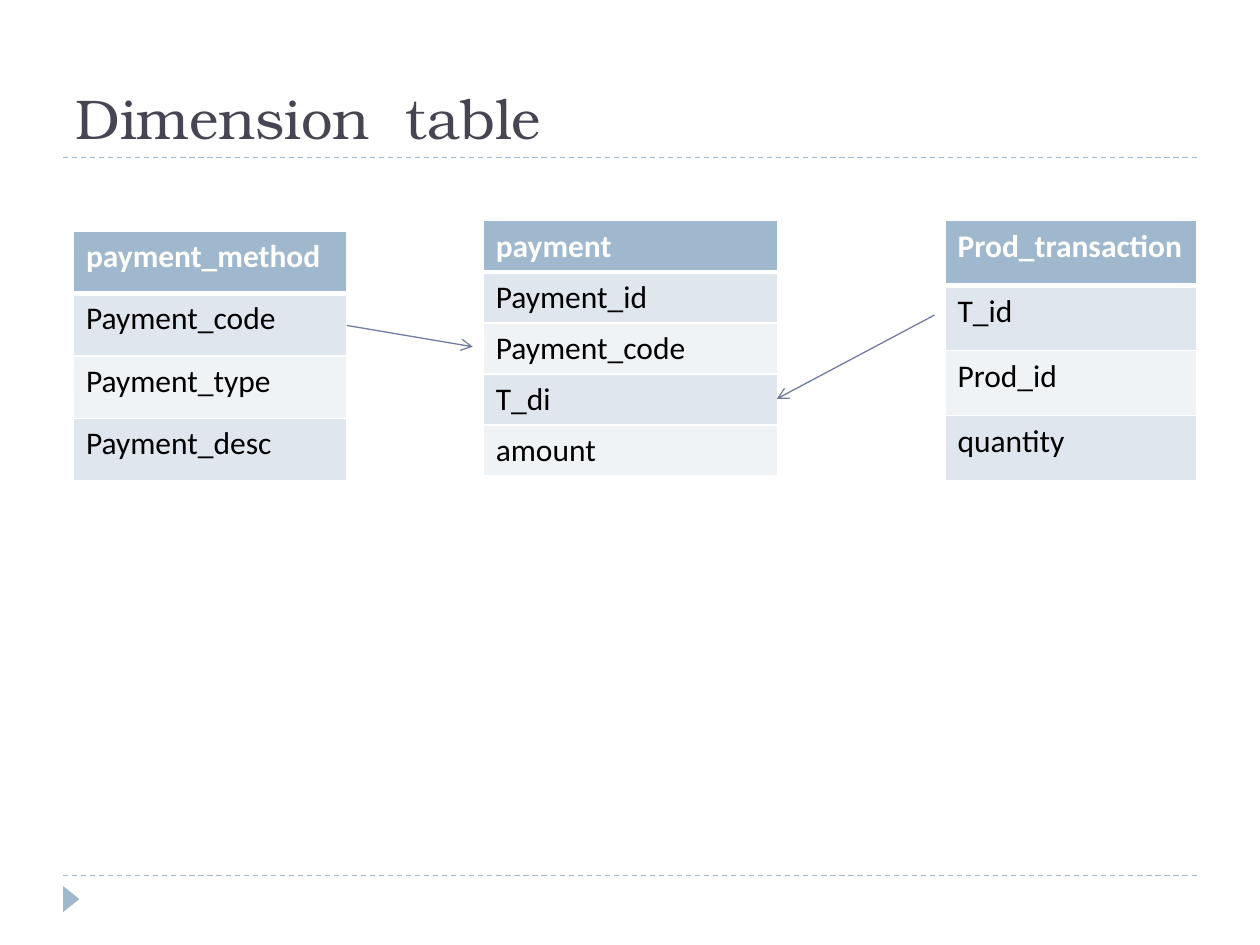
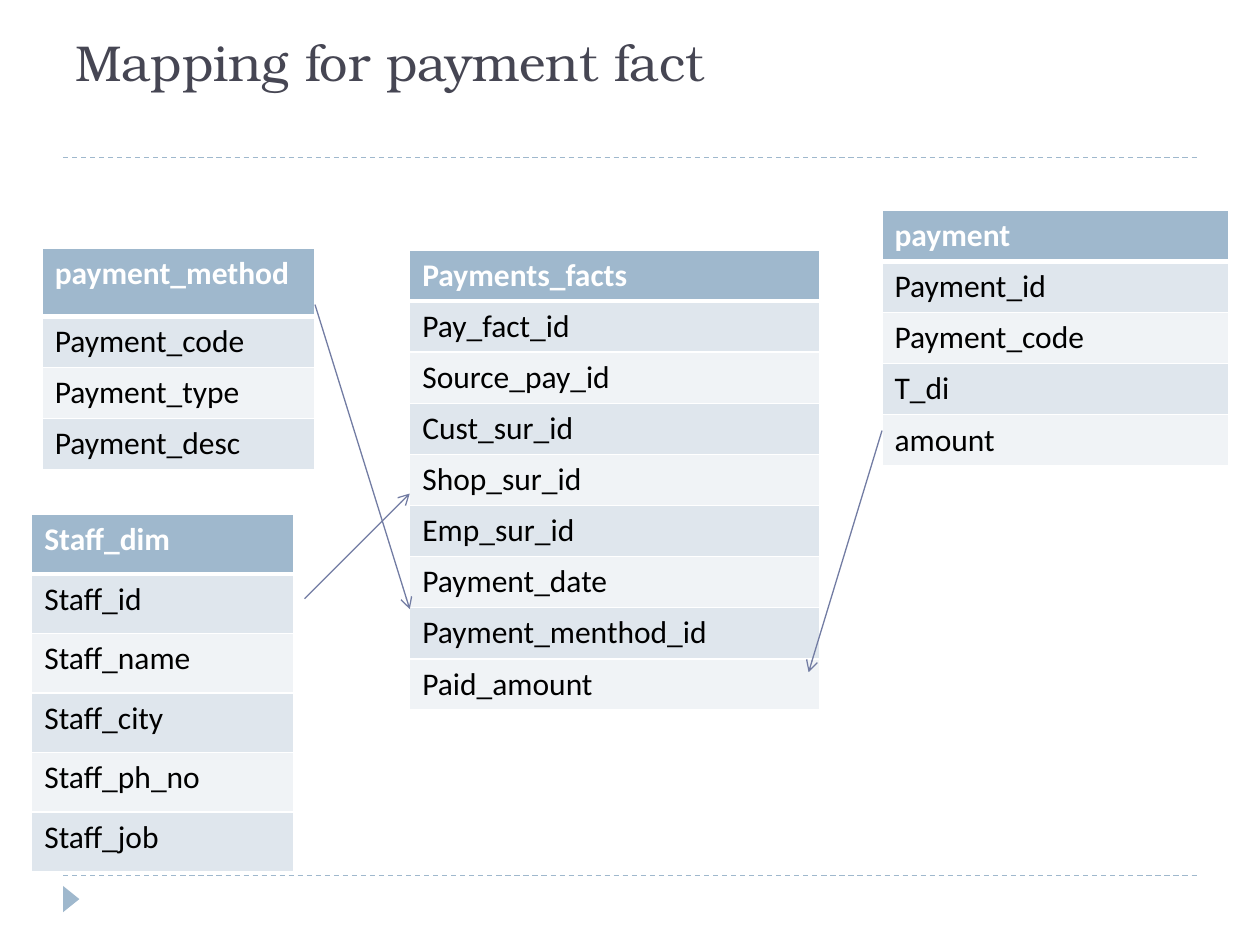
from lxml import etree
from pptx import Presentation
from pptx.dml.color import RGBColor
from pptx.enum.dml import MSO_LINE_DASH_STYLE as Dash
from pptx.enum.shapes import MSO_CONNECTOR as Connector, MSO_SHAPE as Shape
from pptx.enum.text import MSO_ANCHOR as Anchor
from pptx.oxml.ns import qn
from pptx.util import Cm, Pt

COLORS = {
    "title": "464653",
    "accent": "9FB8CD",
    "arrow": "727CA3",
    "odd_row": "DFE6ED",
    "even_row": "F0F3F6",
    "white": "FFFFFF",
    "black": "000000",
}
HEADER_FONT = {"name": "Calibri", "size": Pt(18), "bold": True}
BODY_FONT = {**HEADER_FONT, "bold": False}
ROW = 1.03  # usual row height, cm

# Fields of the tables that appear on both slides, header first
PAYMENT = ["payment", "Payment_id", "Payment_code", "T_di", "amount"]
PAYMENT_METHOD = ["payment_method", "Payment_code", "Payment_type", "Payment_desc"]


def rgb(name):
    return RGBColor.from_string(COLORS[name])


class Deck:
    """Holds the style and the current slide; all lengths are in cm."""

    def __init__(self):
        self.presentation = Presentation()
        self.presentation.slide_width = Cm(25.4)
        self.presentation.slide_height = Cm(19.05)
        self.slide = None

    def add_slide(self, title, size, bottom_inset=0.13):
        self.slide = self.presentation.slides.add_slide(
            self.presentation.slide_layouts[6])
        # Dashed rules under the title and above the footer
        for y in (17.65, 3.18):
            self.line((1.27, y), (24.13, y), "accent").line.dash_style = Dash.DASH
        self.footer_marker()
        self.title(title, size, bottom_inset)

    def footer_marker(self):
        shape = self.slide.shapes.add_shape(
            Shape.ISOSCELES_TRIANGLE, Cm(1.17), Cm(17.96), Cm(0.53), Cm(0.33))
        shape.rotation = 90
        shape.shadow.inherit = False
        shape.fill.solid()
        shape.fill.fore_color.rgb = rgb("accent")
        shape.line.fill.background()

    def title(self, text, size, bottom_inset):
        shape = self.slide.shapes.add_textbox(
            Cm(1.27), Cm(0.42), Cm(22.86), Cm(2.75))
        frame = shape.text_frame
        frame.word_wrap = True
        frame.vertical_anchor = Anchor.BOTTOM
        frame.margin_bottom = Cm(bottom_inset)
        self.add_text(frame, text, {"name": "TeX Gyre Bonum", "size": Pt(size)}, "title")

    def add_text(self, frame, text, font_format, color):
        run = frame.paragraphs[0].add_run()
        run.text = text
        for attribute, value in font_format.items():
            setattr(run.font, attribute, value)
        run.font.color.rgb = rgb(color)

    def line(self, start, end, color):
        connector = self.slide.shapes.add_connector(
            Connector.STRAIGHT, *(Cm(value) for value in (*start, *end)))
        connector.line.color.rgb = rgb(color)
        connector.line.width = Pt(0.75)
        etree.SubElement(connector._element.spPr, qn("a:effectLst"))
        return connector

    def arrow(self, start, end):
        connector = self.line(start, end, "arrow")
        outline = connector._element.spPr.find(qn("a:ln"))
        etree.SubElement(outline, qn("a:tailEnd"), type="arrow")

    def borders(self, cell, top, bottom):
        properties = cell._tc.get_or_add_tcPr()
        for side, width in zip("LRTB", (1, 1, top, bottom)):
            border = etree.SubElement(properties, qn(f"a:ln{side}"), w=str(Pt(width)))
            fill = etree.SubElement(border, qn("a:solidFill"))
            etree.SubElement(fill, qn("a:srgbClr"), val=COLORS["white"])

    def table(self, fields, left, top, width, row=ROW, header=None):
        heights = [header or row] + [row] * (len(fields) - 1)
        table = self.slide.shapes.add_table(
            len(fields), 1, Cm(left), Cm(top), Cm(width), Cm(sum(heights))).table
        table.horz_banding = False
        for index, (field, height) in enumerate(zip(fields, heights)):
            table.rows[index].height = Cm(height)
            cell = table.cell(index, 0)
            # A thick rule parts the header from the fields
            self.borders(cell, 3 if index == 1 else 1, 3 if index == 0 else 1)
            if index == 0:
                fill, color, font_format = "accent", "white", HEADER_FONT
            else:
                fill = "odd_row" if index % 2 else "even_row"
                color, font_format = "black", BODY_FONT
            cell.fill.solid()
            cell.fill.fore_color.rgb = rgb(fill)
            self.add_text(cell.text_frame, field, font_format, color)


deck = Deck()

# Slide 1: dimension tables
deck.add_slide("Dimension  table", 32)
deck.table(PAYMENT, 9.74, 4.45, 5.93)
deck.table(PAYMENT_METHOD, 1.48, 4.66, 5.5, row=1.26)
deck.table(["Prod_transaction", "T_id", "Prod_id", "quantity"],
           19.05, 4.45, 5.08, row=1.31)
deck.arrow((6.99, 6.56), (9.53, 6.99))
deck.arrow((18.84, 6.35), (15.66, 8.04))

# Slide 2: sources of the payment fact, title raised above the rule
deck.add_slide("Mapping for payment fact", 28.8, bottom_inset=1.32)
deck.table(["Payments_facts", "Pay_fact_id", "Source_pay_id", "Cust_sur_id",
            "Shop_sur_id", "Emp_sur_id", "Payment_date", "Payment_menthod_id",
            "Paid_amount"], 8.26, 5.04, 8.26)
deck.table(PAYMENT_METHOD, 0.85, 5.01, 5.5, header=1.37)
deck.table(PAYMENT, 17.78, 4.24, 6.99)
deck.arrow((6.35, 6.14), (8.26, 12.28))
deck.arrow((17.78, 8.68), (16.3, 13.55))
deck.table(["Staff_dim", "Staff_id", "Staff_name", "Staff_city", "Staff_ph_no",
            "Staff_job"], 0.64, 10.37, 5.29, row=1.2)
deck.arrow((6.14, 12.07), (8.26, 9.95))

deck.presentation.save("out.pptx")
